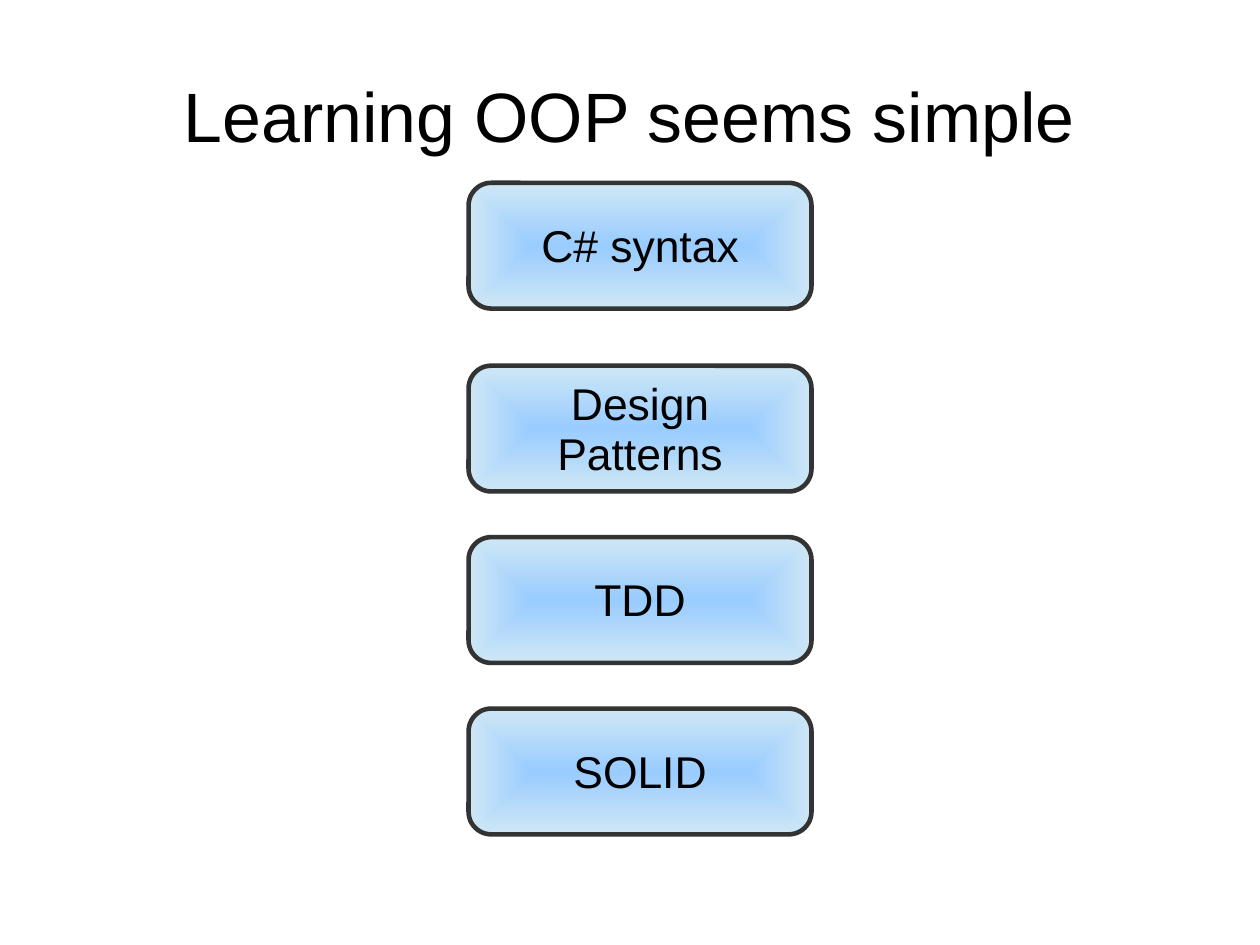
from lxml import etree
from pptx import Presentation
from pptx.dml.color import RGBColor
from pptx.enum import shapes, text
from pptx.oxml import ns
from pptx.util import Inches, Pt

COLORS = {"text": "000000", "outline": "333333", "center": "99CCFF", "edge": "CFE7F5"}
TOPICS = [("C# syntax", 1.6), ("Design Patterns", 3.2), ("TDD", 4.7), ("SOLID", 6.2)]
CM_PER_INCH = 2.54


def write_text(shape, words, size, margins):
    frame = shape.text_frame
    frame.word_wrap = True
    frame.auto_size = text.MSO_AUTO_SIZE.NONE
    frame.vertical_anchor = text.MSO_ANCHOR.MIDDLE
    frame.margin_left, frame.margin_top, frame.margin_right, frame.margin_bottom = map(Inches, margins)
    paragraph = frame.paragraphs[0]
    paragraph.alignment = text.PP_ALIGN.CENTER
    paragraph.line_spacing = 0.93
    run = paragraph.add_run()
    run.text = words
    run.font.name = "Arial"
    run.font.size = Pt(size)
    run.font.color.rgb = RGBColor.from_string(COLORS["text"])


def fill_from_center(shape):
    shape.fill.gradient()
    for stop, position, name in zip(shape.fill.gradient_stops, (0, 1), ("center", "edge")):
        stop.position = position
        stop.color.rgb = RGBColor.from_string(COLORS[name])
    # Swap the linear direction for a rectangular one
    gradient = shape._element.spPr.find(ns.qn("a:gradFill"))
    gradient.remove(gradient.find(ns.qn("a:lin")))
    direction = etree.SubElement(gradient, ns.qn("a:path"), path="rect")
    etree.SubElement(direction, ns.qn("a:fillToRect"), l="50000", t="50000", r="50000", b="50000")


# Slide of 28 by 21 cm
presentation = Presentation()
presentation.slide_width = Inches(28 / CM_PER_INCH)
presentation.slide_height = Inches(21 / CM_PER_INCH)
slide = presentation.slides.add_slide(presentation.slide_layouts[5])

# Title
title = slide.shapes.title
title.left, title.top, title.width, title.height = map(Inches, (0.55, 0.33, 9.92, 1.38))
write_text(title, "Learning OOP seems simple", 44, (0, 0.04, 0, 0))

# Topic boxes
for topic, top in TOPICS:
    box = slide.shapes.add_shape(shapes.MSO_SHAPE.ROUNDED_RECTANGLE,
                                 Inches(4.1), Inches(top), Inches(3), Inches(1.1))
    box.adjustments[0] = 0.18
    box.shadow.inherit = False
    fill_from_center(box)
    box.line.color.rgb = RGBColor.from_string(COLORS["outline"])
    box.line.width = Pt(2.89)
    write_text(box, topic, 28, (0.1, 0.08, 0.1, 0.05))

presentation.save("out.pptx")
